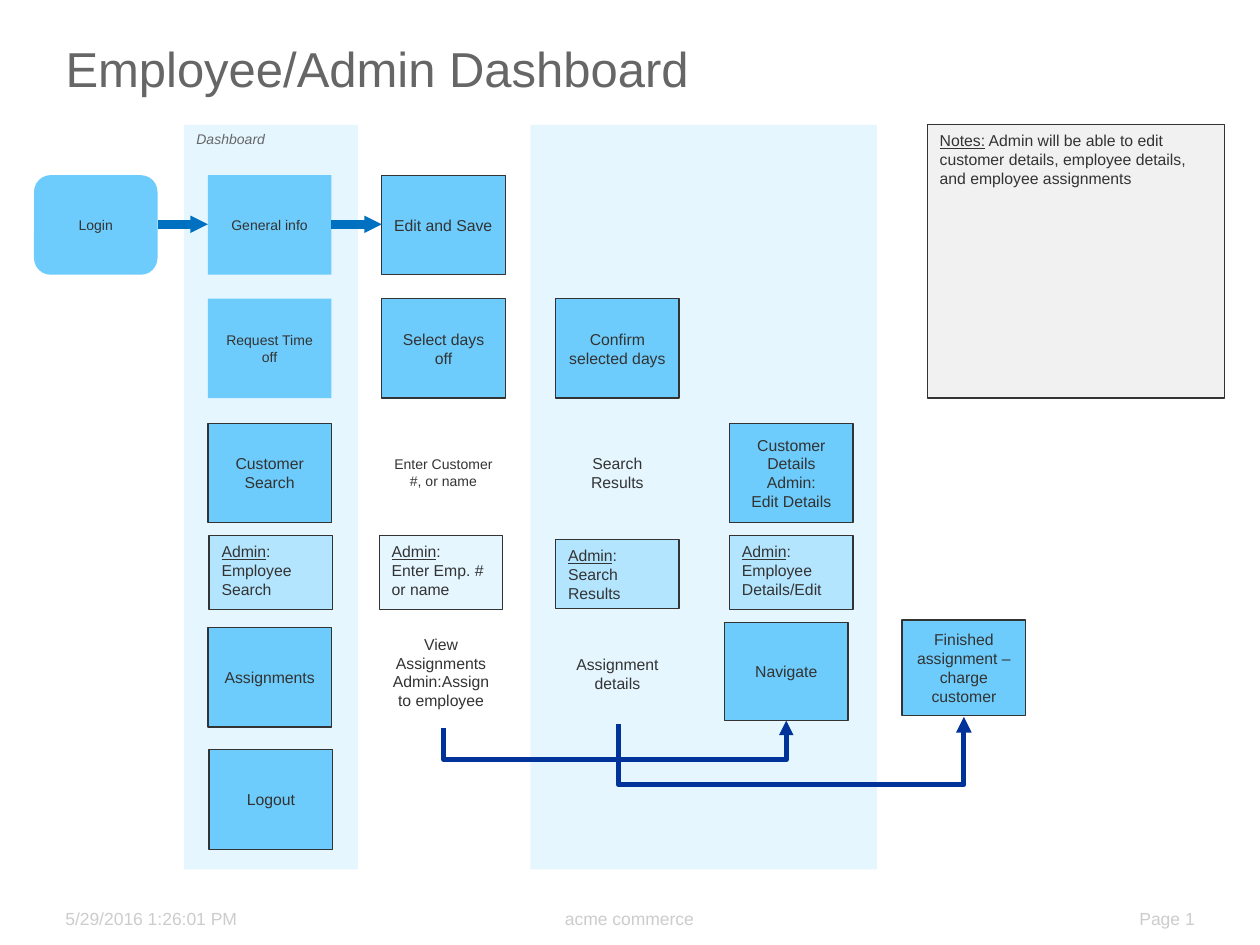
import pptx
import pptx.oxml.ns
from lxml import etree
from pptx.dml.color import RGBColor
from pptx.enum.shapes import MSO_CONNECTOR, MSO_SHAPE
from pptx.enum.text import MSO_ANCHOR, MSO_AUTO_SIZE, PP_ALIGN
from pptx.util import Inches, Pt

# Theme: colours, type sizes and node styles
THEME = {
    "font": "Arial", "title": 28, "footer": 10, "body": 9, "small": 8,
    "heading": "666666", "ink": "333333", "faint": "CCCCCC", "panel": "E5F6FF",
    "node": "6DCCFC", "admin": "B4E5FE", "note": "F1F1F1",
    "step": "0070C0", "route": "003399",
}
LEFT, CENTER, RIGHT = PP_ALIGN.LEFT, PP_ALIGN.CENTER, PP_ALIGN.RIGHT
TOP, MIDDLE, BOTTOM = MSO_ANCHOR.TOP, MSO_ANCHOR.MIDDLE, MSO_ANCHOR.BOTTOM
STYLES = {
    "plain": {"fill": "node", "size": "small"},
    "start": {"fill": "node", "size": "small", "preset": MSO_SHAPE.ROUNDED_RECTANGLE},
    "framed": {"fill": "node", "outline": True},
    "one line": {"fill": "node", "outline": True, "align": LEFT, "wrap": False},
    "admin": {"fill": "admin", "outline": True, "align": LEFT, "anchor": TOP},
    "admin entry": {"fill": "panel", "outline": True, "align": LEFT, "anchor": TOP},
    "hint": {"size": "small"},
    "label": {},
    "label top": {"anchor": TOP},
    "note": {"fill": "note", "outline": True, "align": LEFT, "anchor": TOP},
    "panel": {"fill": "panel", "size": "small", "color": "heading", "italic": True,
              "align": LEFT, "anchor": TOP},
}

# Content: a paragraph is a string, or a pair of underlined lead and rest
TITLE = "Employee/Admin Dashboard"
FOOTERS = [
    (0.42, 2.08, LEFT, "5/29/2016 1:26:01 PM"),
    (2.83, 4.33, CENTER, "acme commerce"),
    (7.5, 2.08, RIGHT, "Page 1"),
]
PANELS = [(1.46, 1.38, ["Dashboard"]), (4.21, 2.75, [])]
ADMIN = ("Admin", ":")
# column, nudge to the right, top, height, style, paragraphs
NODES = [
    (0, 0, 1.39, 0.79, "start", ["Login"]),
    (1, 0, 1.39, 0.79, "plain", ["General info"]),
    (2, 0, 1.39, 0.79, "one line", ["Edit and Save"]),
    (1, 0, 2.37, 0.79, "plain", ["Request Time off"]),
    (2, 0, 2.37, 0.79, "framed", ["Select days off"]),
    (3, 0, 2.37, 0.79, "framed", ["Confirm selected days"]),
    (1, 0, 3.36, 0.79, "framed", ["Customer Search"]),
    (2, 0, 3.5, 0.5, "hint", ["Enter Customer #, or name"]),
    (3, 0, 3.55, 0.4, "label top", ["Search Results"]),
    (4, 0, 3.36, 0.79, "framed", ["Customer Details", "Admin:", "Edit Details"]),
    (1, 0.01, 4.25, 0.59, "admin", [ADMIN, "Employee Search"]),
    (2, -0.02, 4.25, 0.59, "admin entry", [ADMIN, "Enter Emp. # or name"]),
    (3, 0, 4.28, 0.55, "admin", [ADMIN, "Search Results"]),
    (4, 0, 4.25, 0.59, "admin", [ADMIN, "Employee Details/Edit"]),
    (1, 0, 4.98, 0.79, "framed", ["Assignments"]),
    (2, -0.02, 4.98, 0.71, "label", ["View Assignments", "Admin:Assign to employee"]),
    (3, 0, 5.15, 0.4, "label top", ["Assignment details"]),
    (4, -0.04, 4.94, 0.78, "framed", ["Navigate"]),
    (5, -0.01, 4.92, 0.76, "framed", ["Finished assignment – charge customer"]),
    (1, 0.01, 5.95, 0.79, "framed", ["Logout"]),
]
NOTE = [("Notes:", " Admin will be able to edit customer details, employee details, "
                   "and employee assignments")]
STEPS = [0, 1]  # arrow leaves this column of the first row
# start, end, lowest level, line width
ROUTES = [((3.52, 5.78), (6.24, 5.72), 6.03, 2.75), ((4.91, 5.75), (7.65, 5.69), 6.23, 3)]

# Grid of the flow
FIRST_LEFT, PITCH, NODE_WIDTH = 0.27, 1.38, 0.98


def color(name):
    return RGBColor.from_string(THEME[name])


def column_left(column):
    return FIRST_LEFT + column * PITCH


def write(box, paragraphs, size="body", ink="ink", align=LEFT, anchor=TOP, italic=None, wrap=True):
    frame = box.text_frame
    settings = {"word_wrap": wrap, "vertical_anchor": anchor,
                "margin_left": Inches(0.1), "margin_right": Inches(0.1),
                "margin_top": Inches(0.05), "margin_bottom": Inches(0.05)}
    for name, value in settings.items():
        setattr(frame, name, value)
    for index, content in enumerate(paragraphs):
        para = frame.paragraphs[0] if index == 0 else frame.add_paragraph()
        para.alignment = align
        lead, rest = content if isinstance(content, tuple) else ("", content)
        for text, underline in ((lead, True), (rest, None)):
            if text:
                span = para.add_run()
                span.text = text
                span.font.color.rgb = color(ink)
                formats = {"name": THEME["font"], "size": Pt(THEME[size]),
                           "italic": italic, "underline": underline}
                for name, value in formats.items():
                    setattr(span.font, name, value)


def add_box(page, place, style_name, paragraphs):
    style = STYLES[style_name]
    place = [Inches(value) for value in place]
    if "fill" in style:
        box = page.shapes.add_shape(style.get("preset", MSO_SHAPE.RECTANGLE), *place)
        box.shadow.inherit = False
        box.fill.solid()
        box.fill.fore_color.rgb = color(style["fill"])
        if style.get("outline"):
            box.line.color.rgb = color("ink")
            box.line.width = Pt(0.75)
        else:
            box.line.fill.background()
    else:
        box = page.shapes.add_textbox(*place)
        box.text_frame.auto_size = MSO_AUTO_SIZE.SHAPE_TO_FIT_TEXT
    write(box, paragraphs, style.get("size", "body"), style.get("color", "ink"),
          style.get("align", CENTER), style.get("anchor", MIDDLE),
          style.get("italic"), style.get("wrap", True))


def add_arrow(page, kind, start, end, ink, width, head):
    arrow = page.shapes.add_connector(kind, *[Inches(value) for value in (*start, *end)])
    arrow.line.color.rgb = color(ink)
    arrow.line.width = Pt(width)
    qn = pptx.oxml.ns.qn
    etree.SubElement(arrow.line._get_or_add_ln(), qn("a:tailEnd"), type="triangle", w=head, len=head)
    etree.SubElement(arrow._element.spPr, qn("a:effectLst"))
    return arrow


def add_route(page, start, end, level, width):
    """Elbow that drops to a level, runs right and rises to its end."""
    rise, run = start[1] - end[1], end[0] - start[0]
    middle_x, middle_y = (start[0] + end[0]) / 2, (start[1] + end[1]) / 2
    # The frame is laid out upright, then turned by 90 degrees about its centre
    left, top = middle_x - rise / 2, middle_y - run / 2
    arrow = add_arrow(page, MSO_CONNECTOR.ELBOW, (left + rise, top + run), (left, top),
                      "route", width, "med")
    arrow._element.spPr.xfrm.set("rot", str(90 * 60000))
    qn = pptx.oxml.ns.qn
    guides = arrow._element.spPr.find(qn("a:prstGeom")).get_or_add_avLst()
    bend = round(-(level - start[1]) / rise * 100000)
    etree.SubElement(guides, qn("a:gd"), name="adj1", fmla=f"val {bend}")


def main():
    deck = pptx.Presentation()
    deck.slide_width, deck.slide_height = Inches(10), Inches(7.5)
    page = deck.slides.add_slide(deck.slide_layouts[5])

    # Title and footers
    title = page.shapes.title
    title.left, title.top, title.width, title.height = map(Inches, (0.42, 0.25, 9.17, 0.58))
    write(title, [TITLE], "title", "heading", anchor=MIDDLE)
    for left, width, align, text in FOOTERS:
        box = page.shapes.add_textbox(Inches(left), Inches(7.17), Inches(width), Inches(0.25))
        write(box, [text], "footer", "faint", align, BOTTOM)

    # Panels, flow nodes and note
    for left, width, paragraphs in PANELS:
        add_box(page, (left, 0.99, width, 5.91), "panel", paragraphs)
    for column, nudge, top, height, style, paragraphs in NODES:
        add_box(page, (column_left(column) + nudge, top, NODE_WIDTH, height), style, paragraphs)
    add_box(page, (7.36, 0.99, 2.36, 2.17), "note", NOTE)

    # Arrows
    for column in STEPS:
        start = (column_left(column) + NODE_WIDTH, 1.78)
        add_arrow(page, MSO_CONNECTOR.STRAIGHT, start, (column_left(column + 1), 1.78),
                  "step", 5, "sm")
    for route in ROUTES:
        add_route(page, *route)

    deck.save("out.pptx")


if __name__ == "__main__":
    main()
